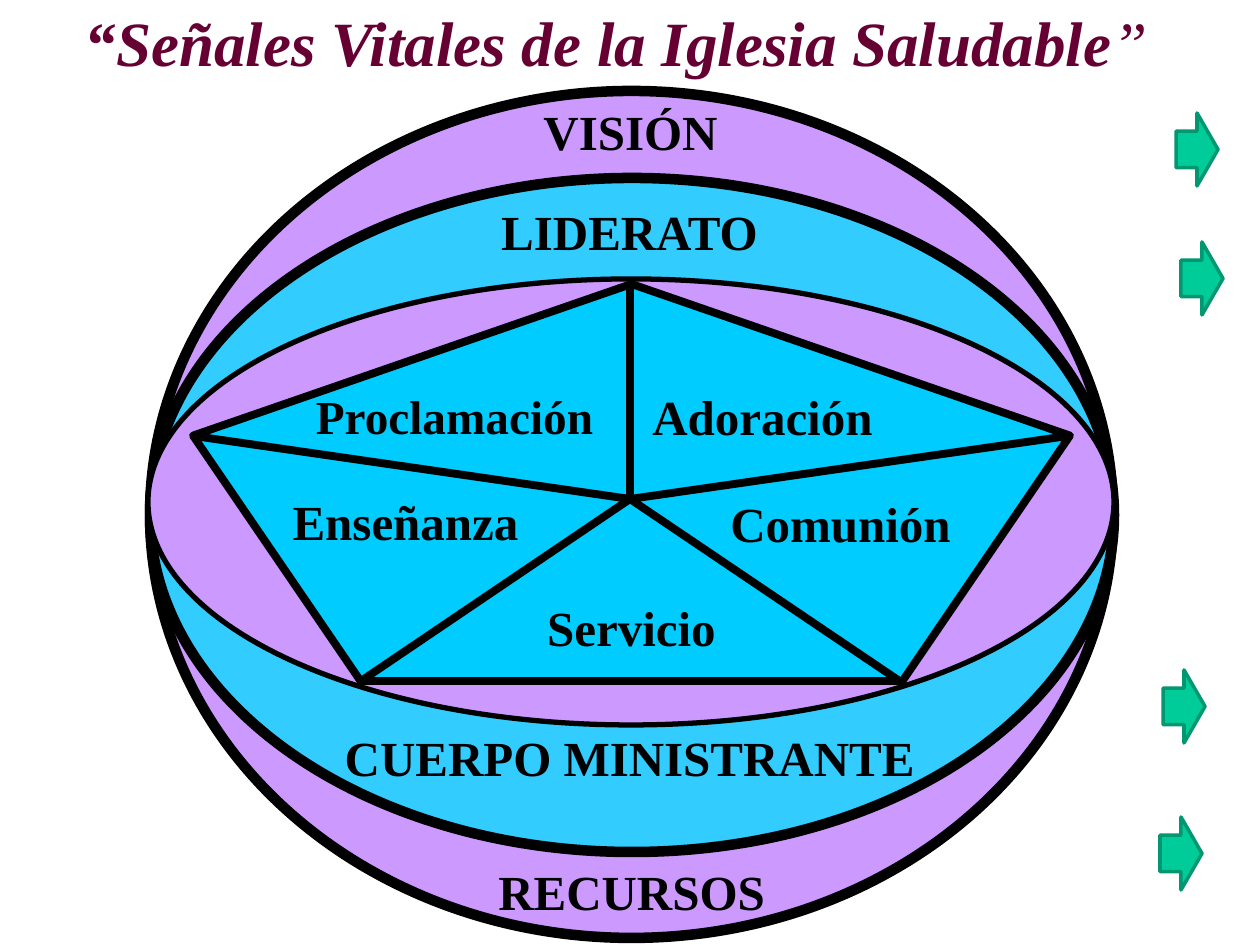
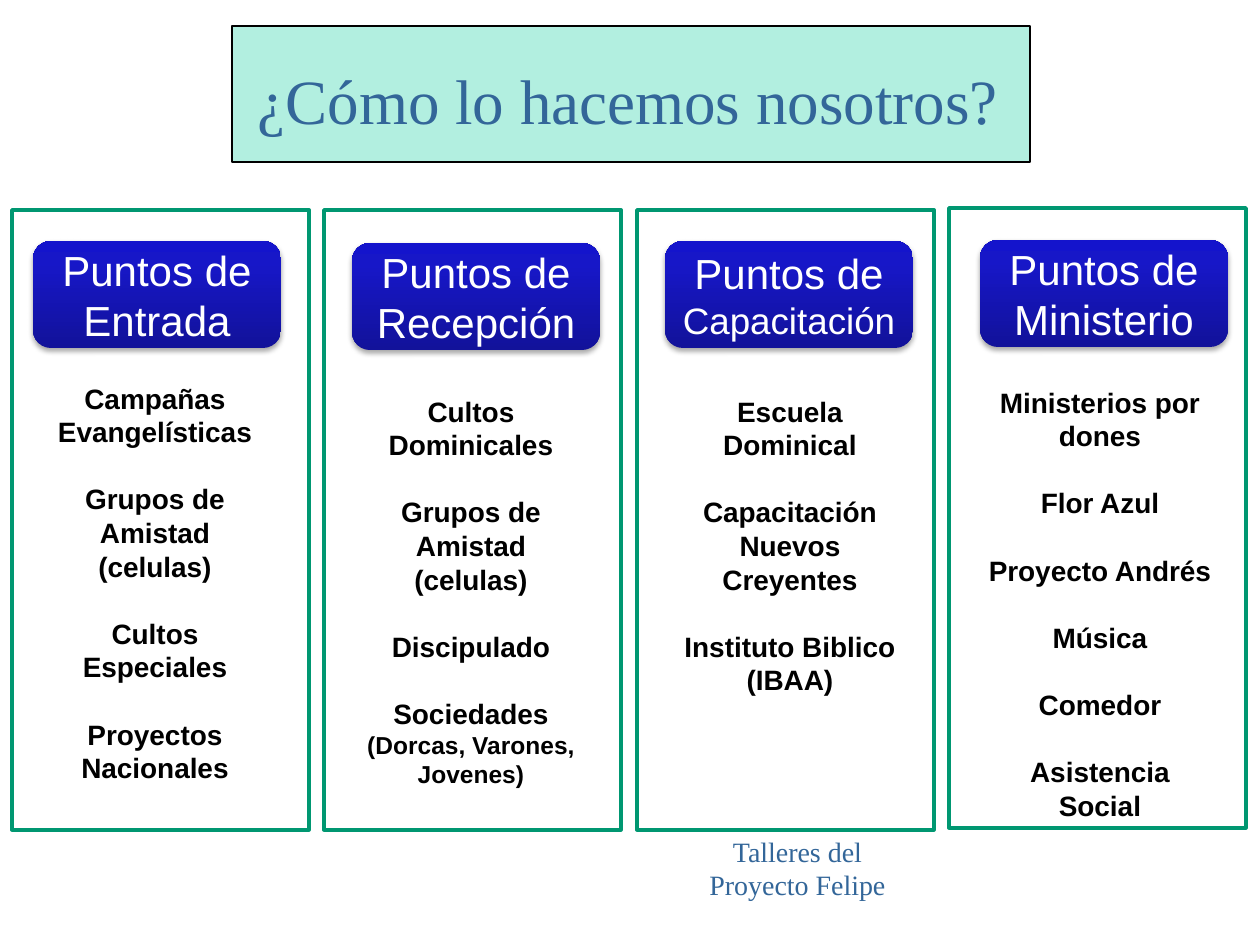
from pptx import Presentation
from pptx.dml.color import RGBColor
from pptx.enum.shapes import MSO_CONNECTOR, MSO_SHAPE
from pptx.enum.text import MSO_ANCHOR, MSO_AUTO_SIZE, PP_ALIGN
from pptx.oxml import parse_xml
from pptx.oxml.ns import nsdecls, qn
from pptx.util import Pt

EMU_PER_PX = 914400 / 126
TITLE_ONLY = 5

OVAL = MSO_SHAPE.OVAL
PENTAGON = MSO_SHAPE.REGULAR_PENTAGON
ARROW = MSO_SHAPE.RIGHT_ARROW
RECTANGLE = MSO_SHAPE.RECTANGLE
ROUNDED = MSO_SHAPE.ROUNDED_RECTANGLE
STRAIGHT = MSO_CONNECTOR.STRAIGHT
TOP, MIDDLE = MSO_ANCHOR.TOP, MSO_ANCHOR.MIDDLE
CENTER = PP_ALIGN.CENTER
NO_AUTOFIT = MSO_AUTO_SIZE.NONE

BLACK = RGBColor(0x00, 0x00, 0x00)
WHITE = RGBColor(0xFF, 0xFF, 0xFF)
LILAC = RGBColor(0xCC, 0x99, 0xFF)
SKY = RGBColor(0x33, 0xCC, 0xFF)
CYAN = RGBColor(0x00, 0xCC, 0xFF)
GREEN = RGBColor(0x00, 0xCC, 0x99)
DARK_GREEN = RGBColor(0x00, 0x97, 0x71)
WINE = RGBColor(0x66, 0x00, 0x33)
STEEL = RGBColor(0x33, 0x66, 0x99)
BUTTON_STOPS = ((0, RGBColor(0x12, 0x12, 0x9A)),
                (80, RGBColor(0x17, 0x17, 0xC8)),
                (100, RGBColor(0x14, 0x14, 0xCC)))

SERIF, SANS = "Times New Roman", "Arial"
VITAL_TITLE = {"name": SERIF, "size": Pt(36), "bold": True, "italic": True, "color": WINE}
METHOD_TITLE = {"name": SERIF, "size": Pt(36), "color": STEEL}
RING_LABEL = {"name": SERIF, "size": Pt(28), "bold": True, "color": BLACK}
SMALLER_LABEL = {**RING_LABEL, "size": Pt(27)}
WORKSHOP = {"name": SERIF, "size": Pt(16), "color": STEEL}
ACTIVITY = {"name": SANS, "size": Pt(16), "bold": True, "color": BLACK}
BUTTON = {"name": SANS, "size": Pt(24), "color": WHITE}
ACTIVITY_GAP = Pt(19.2)

RINGS = (
    ((150, 91, 963, 847), LILAC, 6),
    ((150, 178, 964, 674), SKY, 6),
    ((148, 279, 966, 446), LILAC, 3),
)
MINISTRY_PENTAGON = (193, 284, 877, 397)
HUB = (630, 499)
TIPS = ((630, 282), (194, 436), (1068, 436), (364, 679), (898, 680))
LABELS = (
    ("VISIÓN", (448, 95, 365, 72), RING_LABEL),
    ("LIDERATO", (414, 195, 431, 72), RING_LABEL),
    ("CUERPO MINISTRANTE", (288, 721, 683, 72), RING_LABEL),
    ("RECURSOS", (390, 855, 483, 72), RING_LABEL),
    ("Proclamación", (283, 381, 343, 72), SMALLER_LABEL),
    ("Adoración", (576, 380, 373, 72), RING_LABEL),
    ("Enseñanza", (234, 485, 343, 72), RING_LABEL),
    ("Comunión", (669, 487, 343, 72), RING_LABEL),
    ("Servicio", (460, 591, 343, 72), RING_LABEL),
)
ARROW_CORNERS = ((1176, 113), (1181, 242), (1163, 670), (1160, 817))

PANEL_SIZE, BUTTON_SIZE = (297, 620), (248, 107)
ACTIVITY_WIDTH = 252
COLUMNS = (
    ((12, 210), (33, 241), "Puntos de Entrada", (29, 375, 420),
     ("Campañas Evangelísticas", "Grupos de Amistad (celulas)",
      "Cultos Especiales", "Proyectos Nacionales")),
    ((324, 210), (352, 243), "Puntos de Recepción", (345, 388, 411),
     ("Cultos Dominicales", "Grupos de Amistad (celulas)", "Discipulado",
      (("Sociedades ", {}), ("(Dorcas, Varones, Jovenes)", {"size": Pt(14)})))),
    ((637, 210), (665, 241),
     (("Puntos de ", {}), ("Capacitación", {"size": Pt(21)})), (664, 388, 318),
     ("Escuela Dominical", "Capacitación Nuevos Creyentes",
      "Instituto Biblico (IBAA)")),
    ((949, 208), (980, 240), "Puntos de Ministerio", (974, 379, 454),
     ("Ministerios por dones", "Flor Azul", "Proyecto Andrés", "Música",
      "Comedor", "Asistencia Social")),
)


def px(*lengths):
    """Turn pixel lengths into a list of EMU."""
    return [round(length * EMU_PER_PX) for length in lengths]


def format_font(font, style):
    """Apply a dict of font values."""
    for key, value in style.items():
        if key == "color":
            font.color.rgb = value
        else:
            setattr(font, key, value)


def write(frame, paragraphs, style, gap=None, **settings):
    """Fill a text frame with centred paragraphs of plain or mixed runs."""
    for key, value in {"word_wrap": True, "auto_size": NO_AUTOFIT, **settings}.items():
        setattr(frame, key, value)
    for index, content in enumerate(paragraphs):
        paragraph = frame.add_paragraph() if index else frame.paragraphs[0]
        paragraph.alignment = CENTER
        if index and gap:
            paragraph.space_before = gap
        runs = ((content, {}),) if isinstance(content, str) else content
        for text, changes in runs:
            run = paragraph.add_run()
            run.text = text
            format_font(run.font, {**style, **changes})


def add_title(slide, box, content, style, **settings):
    """Move, format and raise the title placeholder."""
    title = slide.shapes.title
    title.left, title.top, title.width, title.height = px(*box)
    write(title.text_frame, [content], style, **settings)
    slide.shapes._spTree.append(title._element)


def add_label(slide, box, paragraphs, style, gap=None, **settings):
    """Add a text box."""
    label = slide.shapes.add_textbox(*px(*box))
    write(label.text_frame, paragraphs, style, gap, **settings)


def add_figure(slide, kind, box, fill, line, width):
    """Add a filled and outlined preset shape."""
    figure = slide.shapes.add_shape(kind, *px(*box))
    figure.shadow.inherit = False
    figure.fill.solid()
    figure.fill.fore_color.rgb = fill
    figure.line.color.rgb = line
    figure.line.width = Pt(width)
    return figure


def add_spoke(slide, tip):
    """Draw a line from a pentagon tip to the hub."""
    spoke = slide.shapes.add_connector(STRAIGHT, *px(*tip, *HUB))
    spoke.line.color.rgb = BLACK
    spoke.line.width = Pt(4.5)
    spoke._element.spPr.append(parse_xml(f"<a:effectLst {nsdecls('a')}/>"))


def add_button(slide, box, content):
    """Add a blue gradient button with a soft shadow."""
    button = slide.shapes.add_shape(ROUNDED, *px(*box))
    button.shadow.inherit = False
    button.line.fill.background()
    button.fill.gradient()
    button.fill.gradient_angle = 90
    properties = button._element.spPr
    stops = properties.find(".//" + qn("a:gsLst"))
    for stop in list(stops):
        stops.remove(stop)
    for percent, color in BUTTON_STOPS:
        stops.append(parse_xml(
            f'<a:gs {nsdecls("a")} pos="{percent * 1000}"><a:srgbClr val="{color}"/></a:gs>'))
    properties.find(qn("a:effectLst")).append(parse_xml(
        f'<a:outerShdw {nsdecls("a")} blurRad="{Pt(3.1)}" dist="{Pt(1.8)}" dir="5400000" '
        'rotWithShape="0"><a:srgbClr val="000000"><a:alpha val="35000"/></a:srgbClr>'
        '</a:outerShdw>'))
    write(button.text_frame, [content], BUTTON, vertical_anchor=MIDDLE)


def build_vital_signs(slide):
    """Build the rings and pentagon of the healthy church."""
    for box, fill, width in RINGS:
        add_figure(slide, OVAL, box, fill, BLACK, width)
    add_figure(slide, PENTAGON, MINISTRY_PENTAGON, CYAN, BLACK, 4.5)
    for tip in TIPS:
        add_spoke(slide, tip)
    for text, box, style in LABELS:
        add_label(slide, box, [text], style)
    for corner in ARROW_CORNERS:
        add_figure(slide, ARROW, (*corner, 42, 73), GREEN, DARK_GREEN, 2)
    add_title(slide, (-28, -26, 1288, 135),
              (("“Señales Vitales de la Iglesia Saludable", {}), ("”", {"bold": False})),
              VITAL_TITLE, vertical_anchor=MIDDLE)


def build_method(slide):
    """Build the four columns of entry, reception, training and ministry."""
    band = add_figure(slide, RECTANGLE, (232, 26, 798, 136), GREEN, BLACK, 0.75)
    band_color = band._element.spPr.find(qn("a:solidFill")).find(qn("a:srgbClr"))
    band_color.append(parse_xml(f'<a:alpha {nsdecls("a")} val="30000"/>'))
    add_title(slide, (229, 55, 798, 72), "¿Cómo lo hacemos nosotros?", METHOD_TITLE,
              vertical_anchor=TOP)
    for panel, button, heading, (left, top, height), activities in COLUMNS:
        add_figure(slide, RECTANGLE, (*panel, *PANEL_SIZE), WHITE, DARK_GREEN, 2)
        add_label(slide, (left, top, ACTIVITY_WIDTH, height), activities, ACTIVITY,
                  ACTIVITY_GAP)
        add_button(slide, (*button, *BUTTON_SIZE), heading)
    add_label(slide, (698, 828, 199, 71), ["Talleres del", "Proyecto Felipe"], WORKSHOP,
              word_wrap=False)


def main():
    """Build and save the presentation."""
    deck = Presentation()
    deck.slide_width, deck.slide_height = px(1260, 945)
    for build in (build_vital_signs, build_method):
        build(deck.slides.add_slide(deck.slide_layouts[TITLE_ONLY]))
    deck.save("out.pptx")


if __name__ == "__main__":
    main()
